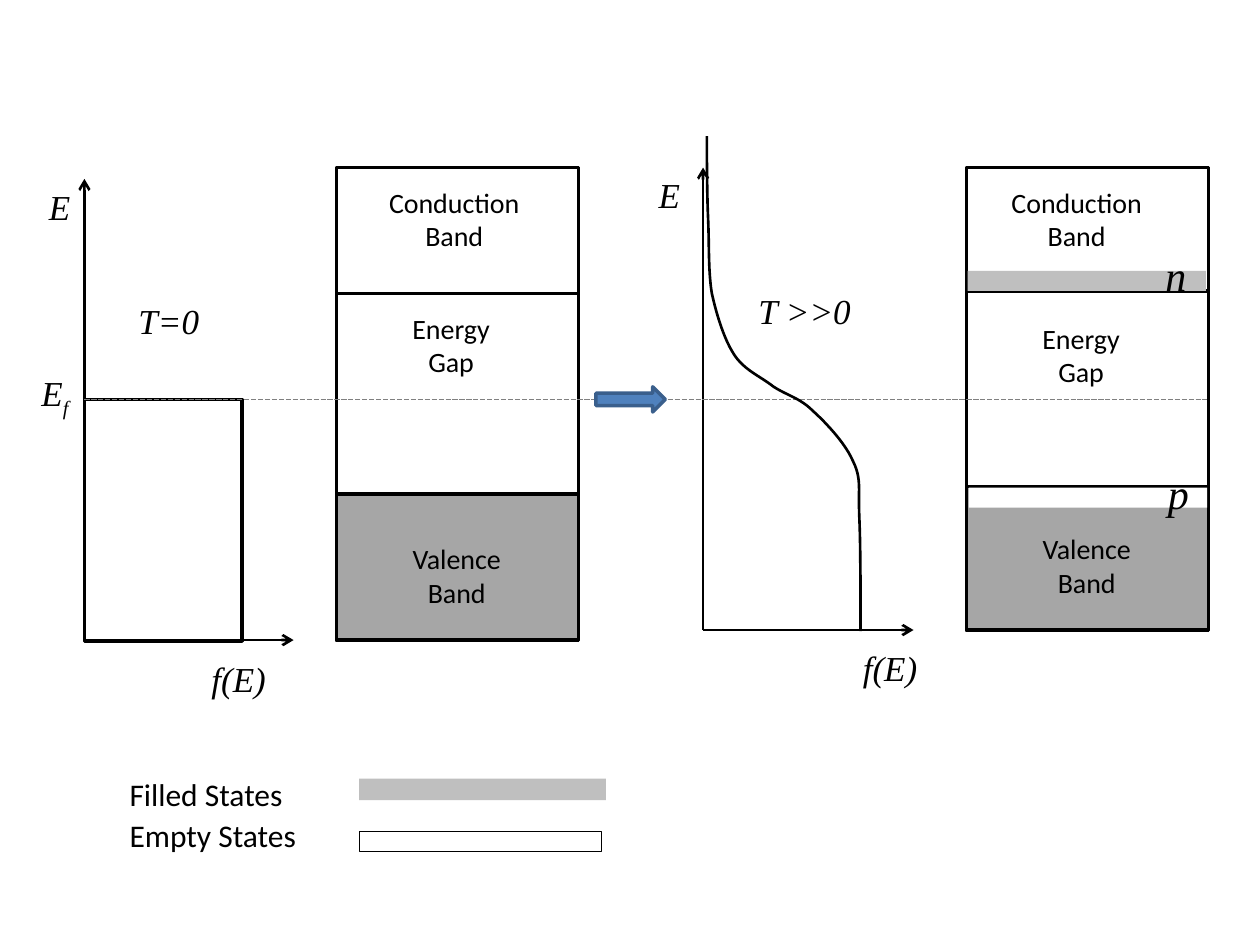
import pptx
import pptx.util
import pptx.dml.color
import pptx.enum.dml
import pptx.enum.shapes
import pptx.enum.text
import pptx.oxml
import pptx.oxml.ns

Inches = pptx.util.Inches
SHAPES = pptx.enum.shapes.MSO_SHAPE
BLACK, VALENCE, FILLED, WHITE = "000000", "A6A6A6", "BFBFBF", "FFFFFF"
SERIF, SANS = "Times New Roman", "Calibri"
FERMI_LEVEL = 3.17
BAND_TOP, BAND_WIDTH = 1.33, 1.92

# Axes: origin, top of the energy axis, right end of the occupancy axis
AXES = [((0.67, 5.08), 1.42, 2.33), ((5.58, 5), 1.33, 7.25)]

# Band diagrams: left, bottom, conduction height, valence top, labels
BANDS = [
    (2.67, 5.08, 1, 3.92, [("Conduction\nBand", 2.98, 1.42, 1.25),
                           ("Energy\nGap", 3.17, 2.42, 0.82),
                           ("Valence\nBand", 3.17, 4.25, 0.91)]),
    (7.67, 5, 0.98, 3.86, [("Conduction\nBand", 7.92, 1.42, 1.25),
                           ("Energy\nGap", 8.17, 2.5, 0.82),
                           ("Valence\nBand", 8.17, 4.17, 0.91)]),
]

# Symbols: text, left, top, width, size
SYMBOLS = [
    ("E", 0.29, 1.42, 0.37, 20), ("T=0", 1, 2.33, 0.69, 20),
    ("f(E)", 1.58, 5.17, 0.64, 20), ("E", 5.13, 1.33, 0.37, 20),
    ("T >>0", 5.92, 2.25, 0.94, 20), ("f(E)", 6.75, 5.08, 0.64, 20),
    ("n", 9.15, 1.93, 0.37, 24), ("p", 9.17, 3.66, 0.37, 24),
]

# Legend: text, text top, text width, swatch box, fill, line colour
LEGEND = [
    ("Filled States", 6.1, 1.43, (2.85, 6.18, 1.96, 0.17), FILLED, None),
    ("Empty States", 6.43, 1.54, (2.85, 6.6, 1.92, 0.16), WHITE, BLACK),
]

# Occupancy curve: start, then Bezier segments (two controls and an end)
CURVE_START = (6.83, 5.01)
CURVE = [
    ((6.83, 4.67), (6.83, 4.33), (6.82, 4.1)),
    ((6.81, 3.88), (6.84, 3.8), (6.77, 3.66)),
    ((6.71, 3.52), (6.56, 3.36), (6.45, 3.26)),
    ((6.35, 3.16), (6.25, 3.14), (6.14, 3.07)),
    ((6.04, 2.99), (5.91, 2.94), (5.83, 2.82)),
    ((5.75, 2.7), (5.69, 2.51), (5.65, 2.33)),
    ((5.62, 2.15), (5.63, 1.94), (5.62, 1.73)),
    ((5.61, 1.52), (5.61, 1.08), (5.61, 1.08)),
]


def color(value):
    """Turn a hex string into a colour."""
    return pptx.dml.color.RGBColor.from_string(value)


def style(shape, fill=None, line=None, width=2):
    """Set fill and outline of a shape; None means none."""
    shape.shadow.inherit = False
    if fill:
        shape.fill.solid()
        shape.fill.fore_color.rgb = color(fill)
    else:
        shape.fill.background()
    if line:
        shape.line.color.rgb = color(line)
        shape.line.width = pptx.util.Pt(width)
    else:
        shape.line.fill.background()


def add_box(box, kind=SHAPES.RECTANGLE, **look):
    """Add a preset shape at left, top, width, height."""
    style(slide.shapes.add_shape(kind, *map(Inches, box)), **look)


def add_line(start, end, line=BLACK, width=1.5, arrow=False, dash=None):
    """Add a straight line, with an arrowhead at its end if asked."""
    connector = slide.shapes.add_connector(
        pptx.enum.shapes.MSO_CONNECTOR.STRAIGHT, *map(Inches, start + end))
    connector.line.color.rgb = color(line)
    connector.line.width = pptx.util.Pt(width)
    if dash:
        connector.line.dash_style = dash
    if arrow:
        head = pptx.oxml.parse_xml(
            f'<a:tailEnd {pptx.oxml.ns.nsdecls("a")} type="arrow"/>')
        connector.line._get_or_add_ln().append(head)
    connector._element.spPr.append(pptx.oxml.parse_xml(
        f'<a:effectLst {pptx.oxml.ns.nsdecls("a")}/>'))


def add_text(text, left, top, width, height=0.44, size=20, font=SERIF,
             italic=False, centered=False, subscript=""):
    """Add an unwrapped text box, one paragraph a line."""
    box = slide.shapes.add_textbox(*map(Inches, (left, top, width, height)))
    frame = box.text_frame
    frame.word_wrap = False
    frame.text = text
    if subscript:
        run = frame.paragraphs[0].add_run()
        run.text = subscript
        run.font._element.set("baseline", "-25000")
    for paragraph in frame.paragraphs:
        if centered:
            paragraph.alignment = pptx.enum.text.PP_ALIGN.CENTER
        for run in paragraph.runs:
            run.font.name = font
            run.font.size = pptx.util.Pt(size)
            run.font.italic = italic
            run.font.color.rgb = color(BLACK)


def curve_points(start, segments, steps=12):
    """Return points along a chain of cubic Bezier segments."""
    points = [start]
    for first, second, end in segments:
        for step in range(1, steps + 1):
            t = step / steps
            u = 1 - t
            points.append(tuple(
                u**3 * a + 3 * u * u * t * b + 3 * u * t * t * c + t**3 * d
                for a, b, c, d in zip(start, first, second, end)))
        start = end
    return points


presentation = pptx.Presentation()
presentation.slide_width, presentation.slide_height = Inches(10), Inches(7.5)
slide = presentation.slides.add_slide(presentation.slide_layouts[6])

for origin, energy_top, occupancy_end in AXES:
    add_line(origin, (origin[0], energy_top), arrow=True)
    add_line(origin, (occupancy_end, origin[1]), arrow=True)
add_box((0.67, FERMI_LEVEL, 1.25, 1.92), line=BLACK)

for left, bottom, conduction_height, valence_top, labels in BANDS:
    add_box((left, valence_top, BAND_WIDTH, bottom - valence_top),
            fill=VALENCE, line=BLACK)
    add_box((left, BAND_TOP, BAND_WIDTH, conduction_height), line=BLACK)
    add_box((left, BAND_TOP, BAND_WIDTH, bottom - BAND_TOP), line=BLACK)
    for text, text_left, text_top, text_width in labels:
        add_text(text, text_left, text_top, text_width, height=0.64,
                 size=16, font=SANS, centered=True)

add_box((7.69, 3.87, 1.89, 0.16), fill=WHITE)
add_box((7.68, 2.15, 1.89, 0.16), fill=FILLED)
add_line((0.67, FERMI_LEVEL), (9.58, FERMI_LEVEL), line="808080", width=1,
         dash=pptx.enum.dml.MSO_LINE.SQUARE_DOT)
add_box((4.73, 3.07, 0.55, 0.2), kind=SHAPES.RIGHT_ARROW,
        fill="4F81BD", line="3A5F8C")

points = [(Inches(x), Inches(y)) for x, y in curve_points(CURVE_START, CURVE)]
builder = slide.shapes.build_freeform(*points[0])
builder.add_line_segments(points[1:], close=False)
style(builder.convert_to_shape(), line=BLACK, width=1.5)

for text, left, top, width, size in SYMBOLS:
    add_text(text, left, top, width, height=size / 50 + 0.03, size=size,
             italic=True)
add_text("E", 0.23, 2.9, 0.43, italic=True, subscript="f")

for text, top, width, swatch, fill, line in LEGEND:
    add_text(text, 0.93, top, width, height=0.4, size=18, font=SANS)
    add_box(swatch, fill=fill, line=line, width=0.5)

presentation.save("out.pptx")
